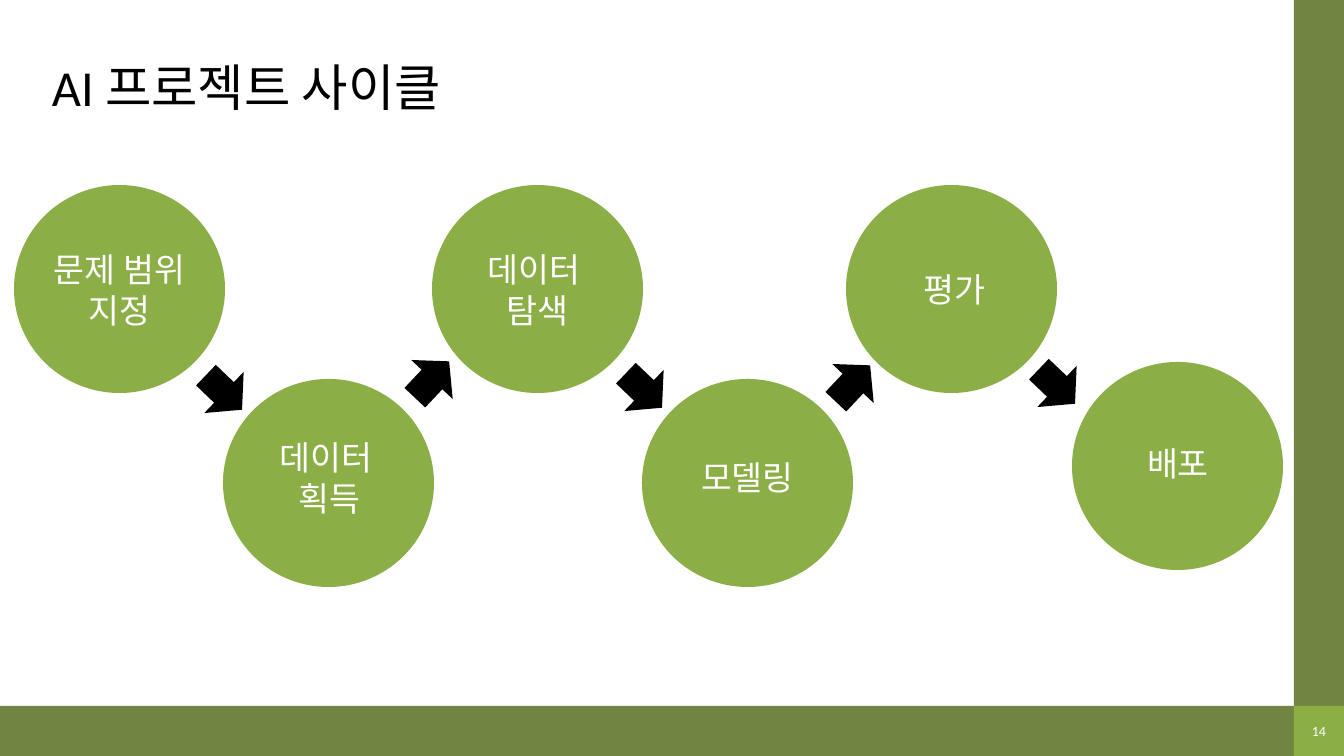
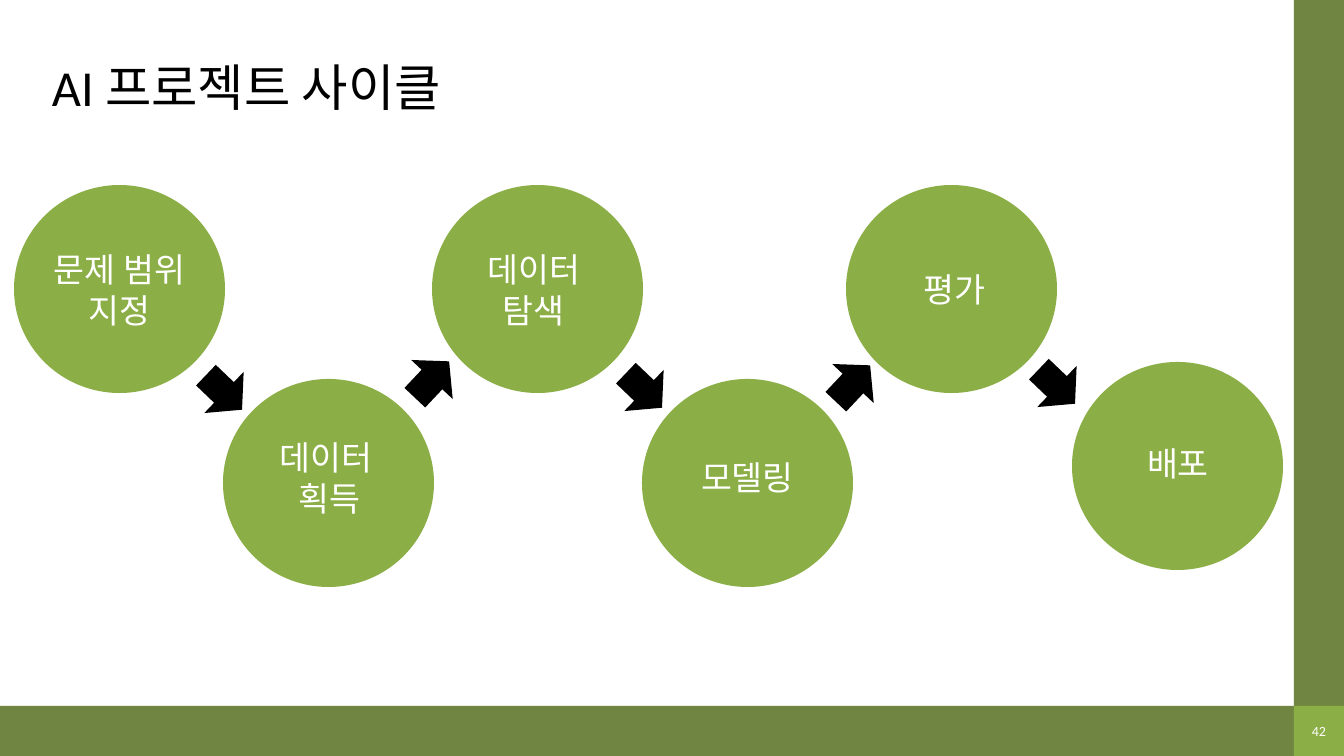
from pptx import Presentation
from pptx.dml.color import RGBColor
from pptx.enum.shapes import MSO_SHAPE as Kind
from pptx.enum.text import MSO_ANCHOR as Anchor, PP_ALIGN as Align
from pptx.util import Emu, Pt

WIDE, HIGH, BAND = 1344, 756, 50
SCALE = 12192000 / WIDE
OLIVE, GREEN, BLACK, WHITE = "708541", "8BAE46", "000000", "FFFFFF"
BALL, LABEL, ARROW = (211, 208), 79, (50, 57)
DOWN, UP = 43.7, 313.3
TITLE = "AI 프로젝트 사이클"
ARROWS = [(185, 179, DOWN), (393, 166, UP), (605, 177, DOWN),
          (814, 170, UP), (1018, 173, DOWN)]


def px(num):
    """Turn pixels into EMU."""
    return Emu(round(num * SCALE))


def color(code):
    """Turn a hex string into a colour."""
    return RGBColor.from_string(code)


def draw(slide, kind, box, fill, turn=0):
    """Add a plain filled shape."""
    shape = slide.shapes.add_shape(kind, *map(px, box))
    shape.shadow.inherit = False
    shape.fill.solid()
    shape.fill.fore_color.rgb = color(fill)
    shape.line.fill.background()
    shape.rotation = turn


def write(slide, text, box, size=24, font="Roboto", ink=WHITE,
          align=Align.CENTER, pad=(13, 13), gap=1.0, wrap=True):
    """Add a text box with one paragraph for each line."""
    frame = slide.shapes.add_textbox(*map(px, box)).text_frame
    frame.word_wrap = wrap
    frame.vertical_anchor = Anchor.MIDDLE
    frame.margin_left = frame.margin_right = px(pad[0])
    frame.margin_top = frame.margin_bottom = px(pad[1])
    frame.text = text
    for para in frame.paragraphs:
        para.alignment = align
        para.line_spacing = gap
        for run in para.runs:
            run.font.size = Pt(size)
            run.font.name = font
            run.font.color.rgb = color(ink)


def frame_page(slide, number):
    """Draw the title, the two bands and the page number."""
    right, base = WIDE - BAND, HIGH - BAND
    write(slide, TITLE, (42, 24, 599, 132), size=36, font="Calibri",
          ink=BLACK, align=Align.LEFT, pad=(10, 5), gap=0.9)
    draw(slide, Kind.RECTANGLE, (0, base, right, BAND), OLIVE)
    draw(slide, Kind.RECTANGLE, (right, 0, BAND, base), OLIVE)
    draw(slide, Kind.RECTANGLE, (right, base, BAND, BAND), GREEN)
    write(slide, number, (right, base, BAND, BAND), size=10,
          font="Calibri", pad=(0, 0), wrap=False)


def draw_cycle(slide, left, top, steps):
    """Draw the circles, their labels and the arrows between them."""
    for text, x, y, shift, drop, width in steps:
        x, y = left + x, top + y
        draw(slide, Kind.OVAL, (x, y, *BALL), GREEN)
        write(slide, text, (x + shift, y + drop, width, LABEL))
    for x, y, turn in ARROWS:
        draw(slide, Kind.RIGHT_ARROW, (left + x, top + y, *ARROW), BLACK, turn)


def list_steps(explore):
    """List each label with its circle place, label offset and width."""
    return [("문제 범위 지정", 0, 0, 24, 65, 163),
            ("데이터 \n획득", 209, 194, 2, 59, 209),
            (explore, 418, 0, 1, 65, 209),
            ("모델링", 628, 194, 13, 59, 185),
            ("평가", 832, 0, 9, 65, 199),
            ("배포", 1058, 177, -14, 62, 240)]


def main():
    """Build both slides and save them."""
    deck = Presentation()
    deck.slide_width, deck.slide_height = px(WIDE), px(HIGH)
    for number, explore in (("14", "데이터 \n탐색"), ("42", "데이터 \n탐색 ")):
        slide = deck.slides.add_slide(deck.slide_layouts[6])
        frame_page(slide, number)
        draw_cycle(slide, 14, 185, list_steps(explore))
    deck.save("out.pptx")


if __name__ == "__main__":
    main()
